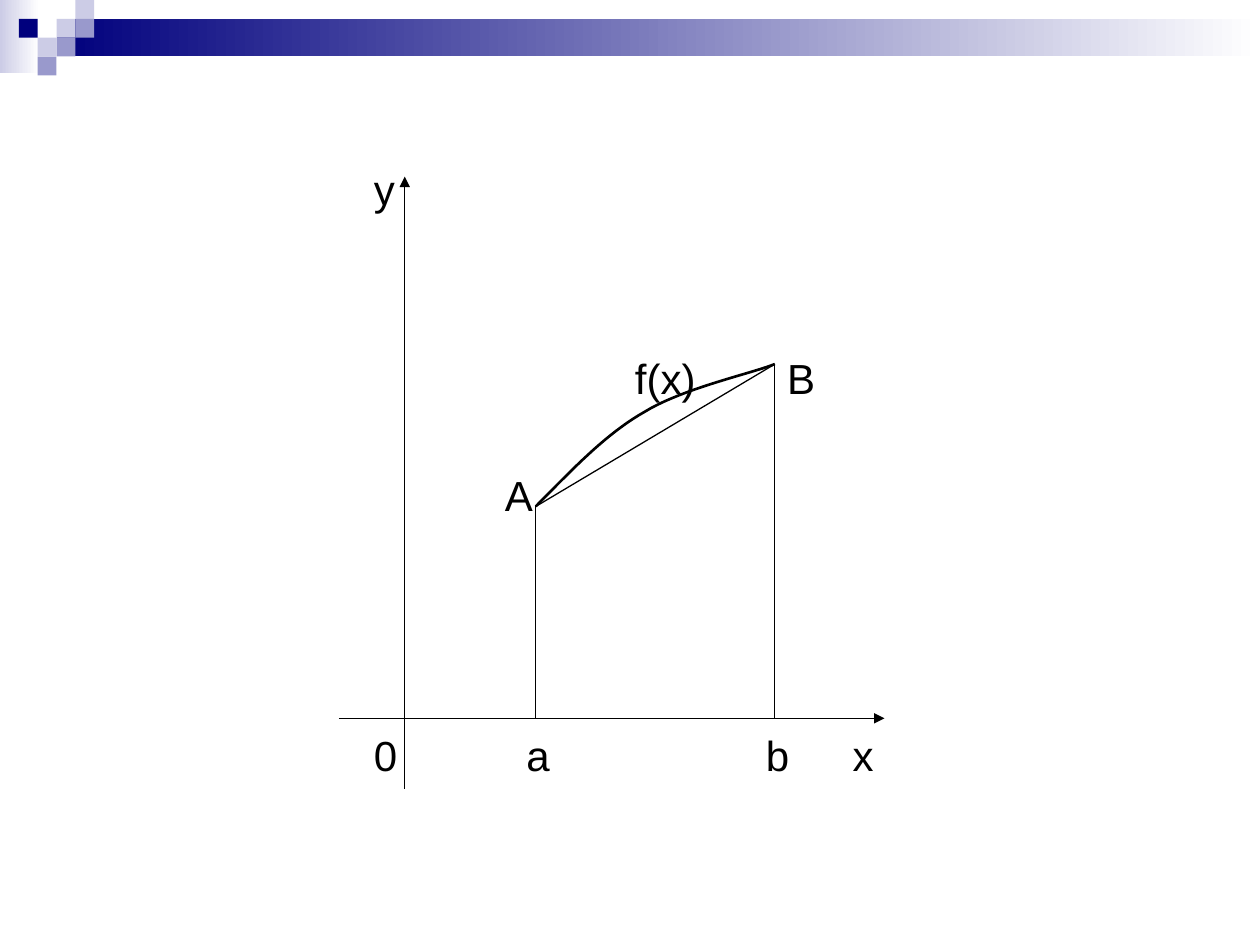
from lxml import etree
from pptx import Presentation
from pptx.dml.color import RGBColor
from pptx.enum.shapes import MSO_CONNECTOR, MSO_SHAPE
from pptx.enum.text import MSO_ANCHOR, PP_ALIGN
from pptx.oxml.ns import qn
from pptx.util import Cm, Pt

BLACK = RGBColor(0x00, 0x00, 0x00)
WHITE = RGBColor(0xFF, 0xFF, 0xFF)
NAVY = RGBColor(0x00, 0x00, 0x7D)
LILAC = RGBColor(0xCC, 0xCC, 0xE6)
VIOLET = RGBColor(0x99, 0x99, 0xCC)

prs = Presentation()
prs.slide_width, prs.slide_height = Cm(25.4), Cm(19.05)
slide = prs.slides.add_slide(prs.slide_layouts[6])
shapes = slide.shapes


def add_box(x, y, w, h, text="", fill=WHITE, fade=False, line=None,
            size=24, font="Arial", color=BLACK):
    """Add a rectangle in cm; fade blends its fill to white on the right."""
    sp = shapes.add_shape(MSO_SHAPE.RECTANGLE, Cm(x), Cm(y), Cm(w), Cm(h))
    sp.shadow.inherit = False
    if fade:
        sp.fill.gradient()
        sp.fill.gradient_angle = 0
        for stop, rgb in zip(sp.fill.gradient_stops, (fill, WHITE)):
            stop.color.rgb = rgb
    else:
        sp.fill.solid()
        sp.fill.fore_color.rgb = fill
    if line is None:
        sp.line.fill.background()
    else:
        sp.line.color.rgb = line
        sp.line.width = Pt(0.75)
    if text:
        tf = sp.text_frame
        tf.word_wrap = True
        tf.vertical_anchor = MSO_ANCHOR.TOP
        tf.margin_left, tf.margin_top = Cm(0.25), Cm(0.22)
        tf.margin_right = tf.margin_bottom = 0
        p = tf.paragraphs[0]
        p.alignment = PP_ALIGN.LEFT
        r = p.add_run()
        r.text = text
        r.font.size, r.font.name = Pt(size), font
        r.font.color.rgb = color


def add_line(start, end, arrow=False):
    cn = shapes.add_connector(MSO_CONNECTOR.STRAIGHT, *map(Cm, start + end))
    cn.line.color.rgb = BLACK
    cn.line.width = Pt(0.75)
    if arrow:
        etree.SubElement(cn.line._get_or_add_ln(), qn("a:tailEnd"), type="triangle")
    etree.SubElement(cn._element.spPr, qn("a:effectLst"))


# Header: two fading bands and a mosaic of squares
UNIT = 0.38
add_box(0, 0, 0.79, 1.47, fill=LILAC, fade=True)
add_box(3 * UNIT, UNIT, 25.4 - 3 * UNIT, 2 * UNIT, fill=NAVY, fade=True)
for col, row, rgb in [(3, 1, LILAC), (4, 0, LILAC), (4, 1, VIOLET), (2, 2, LILAC),
                      (1, 1, NAVY), (3, 2, VIOLET), (2, 3, VIOLET)]:
    add_box(col * UNIT, row * UNIT, UNIT, UNIT, fill=rgb)

# Labels
AXIS_Y = 14.48
for text, x, y, w, h, line in [
    ("y", 7.29, 3.07, 1.32, 1.42, WHITE),
    ("0", 7.29, AXIS_Y, 1.32, 1.42, WHITE),
    ("A", 9.93, 9.25, 1.32, 1.42, None),
    ("B", 15.62, 6.88, 1.32, 1.42, None),
    ("f(x)", 12.55, 6.88, 1.75, 1.42, None),
    ("b", 15.19, AXIS_Y, 1.32, 1.42, None),
    ("a", 10.36, AXIS_Y, 1.32, 1.42, None),
    ("x", 16.94, AXIS_Y, 1.3, 1.55, WHITE),
]:
    add_box(x, y, w, h, text, line=line)

# Axes, and the dot above A
A, B = (10.8, 10.21), (15.62, 7.34)
add_line((6.83, AXIS_Y), (17.83, AXIS_Y), arrow=True)
add_line((8.16, 15.9), (8.16, 3.56), arrow=True)
add_line((A[0], 9.73), (A[0], 9.73))

# Curve f(x): two cubic Bezier arcs joined in the middle
MID, STEPS = (13.0, 8.3), 20
points = []
for arc in [(A, (11.51, 9.5), (12.19, 8.76), MID),
            (MID, (13.79, 7.82), (15.19, 7.52), B)]:
    for i in range(1, STEPS + 1):
        t = i / STEPS
        weights = ((1 - t) ** 3, 3 * t * (1 - t) ** 2, 3 * t ** 2 * (1 - t), t ** 3)
        points.append(tuple(Cm(sum(k * pt[axis] for k, pt in zip(weights, arc)))
                            for axis in (0, 1)))
builder = shapes.build_freeform(Cm(A[0]), Cm(A[1]))
builder.add_line_segments(points, close=False)
curve = builder.convert_to_shape()
curve.shadow.inherit = False
curve.fill.background()
curve.line.color.rgb = BLACK
curve.line.width = Pt(1.5)

# Verticals down to the x axis, and the chord AB
for x, y in (A, B):
    add_line((x, y), (x, AXIS_Y))
add_line(A, B)

prs.save("out.pptx")
